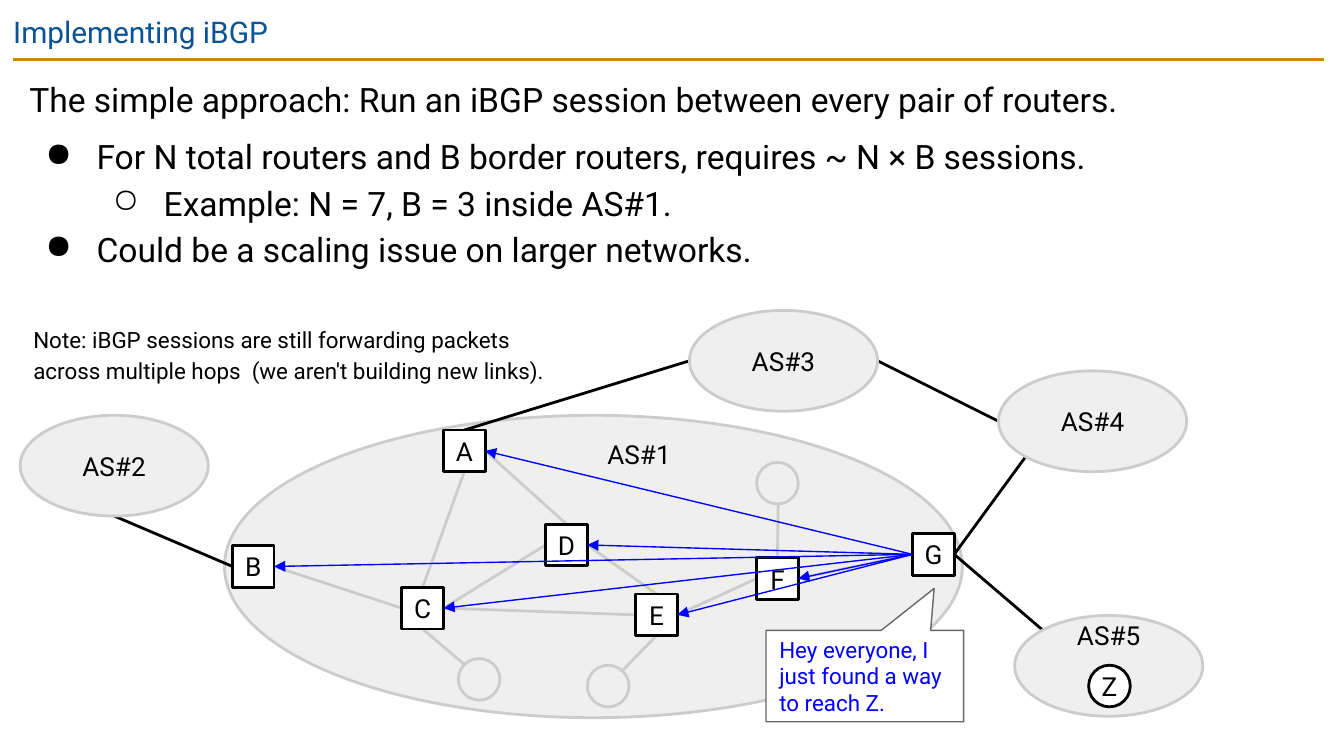
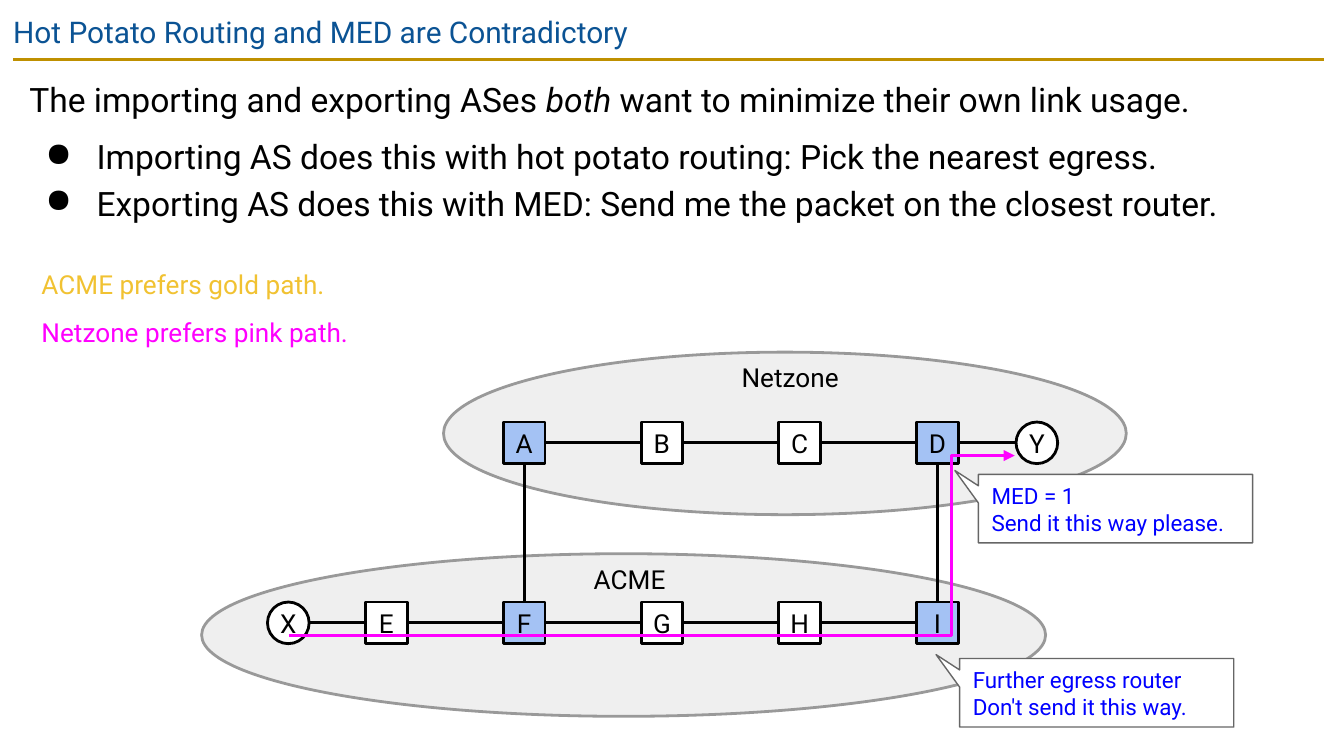
"""Build two slides on routing between autonomous systems."""
from lxml import etree
from pptx import Presentation
from pptx import util as u
from pptx.dml.color import RGBColor
from pptx.enum import shapes, text
from pptx.oxml.ns import qn

rgb = RGBColor.from_string
BLACK, WHITE, BLUE = "000000", "FFFFFF", "0000FF"
TITLE, GOLD, PALE, SOFT, GRAY = "0B5394", "BF9000", "EFEFEF", "CCCCCC", "999999"
PINK, EDGE = "FF00FF", "A4C2F4"
OVAL = shapes.MSO_SHAPE.OVAL
BOX = shapes.MSO_SHAPE.RECTANGLE
CALLOUT = shapes.MSO_SHAPE.ROUNDED_RECTANGULAR_CALLOUT
NODE = 0.31


def write(content, at, kind=None, fill=None, line=BLACK, width=1.5, size=14,
          color=BLACK, inset=0.1, center=False, spaced=False, levels=(), tip=None):
    """Place text in a box or a preset shape; asterisks mark italics."""
    place = [u.Inches(v) for v in at]
    if kind is None:
        part = slide.shapes.add_textbox(*place)
    else:
        part = slide.shapes.add_shape(kind, *place)
        part.shadow.inherit = False
        part.line.color.rgb, part.line.width = rgb(line), u.Pt(width)
        if fill:
            part.fill.solid()
            part.fill.fore_color.rgb = rgb(fill)
        else:
            part.fill.background()
    for index, value in enumerate((*tip, 0) if tip else ()):
        part.adjustments[index] = value
    frame = part.text_frame
    frame.word_wrap = True
    frame.vertical_anchor = text.MSO_ANCHOR.MIDDLE if kind else text.MSO_ANCHOR.TOP
    frame.margin_left = frame.margin_right = u.Inches(inset)
    frame.margin_top = frame.margin_bottom = u.Inches(inset)
    for index, sentence in enumerate(content.split("\n") if content else ()):
        para = frame.paragraphs[0] if index == 0 else frame.add_paragraph()
        para.alignment = text.PP_ALIGN.CENTER if center else text.PP_ALIGN.LEFT
        if spaced:
            para.line_spacing = 1.15
            para.space_before = u.Pt(6 if index < 2 else 0)
        level = levels[index] if levels else 0
        if level:
            para.level = level - 1
            props = para._p.get_or_add_pPr()
            props.set("marL", str(u.Inches(0.5 * level)))
            props.set("indent", str(u.Inches(-0.38)))
            etree.SubElement(props, qn("a:buChar")).set("char", "●○"[level - 1])
        for turn, words in enumerate(sentence.split("*")):
            run = para.add_run()
            run.text = words
            run.font.name, run.font.size = "Roboto", u.Pt(size)
            run.font.color.rgb = rgb(color)
            run.font.italic = turn % 2 == 1


def link(*points, color=BLACK, width=1.5, arrow=False):
    """Join points by a straight connector or, beyond two, by an open outline."""
    spots = [(u.Inches(x), u.Inches(y)) for x, y in points]
    if len(spots) == 2:
        route = slide.shapes.add_connector(shapes.MSO_CONNECTOR.STRAIGHT, *spots[0], *spots[1])
    else:
        outline = slide.shapes.build_freeform(*spots[0])
        outline.add_line_segments(spots[1:], close=False)
        route = outline.convert_to_shape()
        route.fill.background()
    route.line.color.rgb, route.line.width = rgb(color), u.Pt(width)
    if arrow:
        etree.SubElement(route.line._get_or_add_ln(), qn("a:tailEnd")).set("type", "triangle")
    etree.SubElement(route._element.spPr, qn("a:effectLst"))


deck = Presentation()
deck.slide_width, deck.slide_height = u.Inches(10), u.Inches(5.625)
pages = [
    ("Implementing iBGP",
     "The simple approach: Run an iBGP session between every pair of routers.\n"
     "For N total routers and B border routers, requires ~ N × B sessions.\n"
     "Example: N = 7, B = 3 inside AS#1.\n"
     "Could be a scaling issue on larger networks.", (0, 1, 2, 1)),
    ("Hot Potato Routing and MED are Contradictory",
     "The importing and exporting ASes *both* want to minimize their own link usage.\n"
     "Importing AS does this with hot potato routing: Pick the nearest egress.\n"
     "Exporting AS does this with MED: Send me the packet on the closest router.", (0, 1, 1)),
]
for title, body, levels in pages:
    slide = deck.slides.add_slide(deck.slide_layouts[6])
    link((0.1, 0.44), (9.85, 0.44), color=GOLD)
    write(title, (0, 0, 9.32, 0.43), size=16, color=TITLE)
    write(body, (0.12, 0.44, 9.74, 1.7), size=18, spaced=True, levels=levels)

slide = deck.slides[0]
routers = {"A": (3.3, 3.2), "B": (1.73, 4.06), "C": (2.99, 4.37), "D": (4.06, 3.9),
           "E": (4.73, 4.42), "F": (5.63, 4.15), "G": (6.79, 3.97)}
systems = {"AS#2": (0.15, 3.09), "AS#3": (5.13, 2.31), "AS#4": (7.43, 2.76), "AS#5": (7.55, 4.58)}
ports = {}
for group, w, h in ((routers, NODE, NODE), (systems, 1.4, 0.75)):
    for name, (x, y) in group.items():
        ports[name, "left"], ports[name, "right"] = (x, y + h / 2), (x + w, y + h / 2)
        ports[name, "top"], ports[name, "bottom"] = (x + w / 2, y), (x + w / 2, y + h)

write("", (1.67, 3.09, 5.49, 2.25), OVAL, PALE, SOFT)
for hidden, router, side, end in (((5.63, 3.44), "F", "top", (5.79, 3.75)),
                                  ((4.37, 4.95), "E", "bottom", (4.63, 4.99)),
                                  ((3.41, 4.9), "C", "bottom", (3.45, 4.94))):
    write("", (*hidden, NODE, NODE), OVAL, line=SOFT)
    link(ports[router, side], end, color=SOFT)
for start, leave, end, enter in (("B", "right", "C", "left"), ("C", "right", "D", "left"),
                                 ("C", "top", "A", "bottom"), ("A", "right", "D", "top"),
                                 ("C", "right", "E", "left"), ("E", "top", "D", "right"),
                                 ("E", "right", "F", "left"), ("F", "right", "G", "left")):
    link(ports[start, leave], ports[end, enter], color=SOFT)
write("AS#1", (4.3, 3.16, 0.91, 0.44), center=True)

exit_port = ports["G", "right"]
for start, end in (((7.76, 4.69), exit_port), ((7.63, 3.4), exit_port),
                   (ports["AS#4", "left"], ports["AS#3", "right"]),
                   (ports["AS#3", "left"], ports["A", "top"]),
                   (ports["AS#2", "bottom"], ports["B", "left"])):
    link(start, end)
for name, corner in systems.items():
    write("" if name == "AS#5" else name, (*corner, 1.4, 0.75), OVAL, PALE, SOFT, center=True)
write("AS#5", (7.55, 4.51, 1.4, 0.43), center=True)
write("Z", (8.1, 4.95, NODE, NODE), OVAL, WHITE, inset=0, center=True)
for name, corner in routers.items():
    write(name, (*corner, NODE, NODE), BOX, WHITE, inset=0, center=True)
for name in "FEDCBA":
    link(ports["G", "left"], ports[name, "right"], color=BLUE, width=0.75, arrow=True)
write("Hey everyone, I just found a way to reach Z.", (5.7, 4.69, 1.47, 0.68), CALLOUT,
      WHITE, "666666", 0.75, size=12, color=BLUE, tip=(0.351, -0.959))
write("Note: iBGP sessions are still forwarding packets across multiple hops  "
      "(we aren't building new links).", (0.15, 2.3, 4.06, 0.64), size=12, spaced=True)

slide = deck.slides[1]
column = [2.72 + 1.025 * step for step in range(5)]
importer, exporter = "ACME", "Netzone"
networks = [
    (exporter, (3.3, 2.62, 5.08, 1.21), 5.16, 3.14, "ABCDY", column[1:] + [7.56]),
    (importer, (1.5, 4.12, 6.28, 1.21), 6.37, 4.48, "XEFGHI", [1.99] + column),
]
for name, (x, y, w, h), label_width, top, chain, lefts in networks:
    write("", (x, y, w, h), OVAL, PALE, GRAY)
    write(name, (x, y + 0.04, label_width, 0.3), inset=0.03, center=True)
for left in (column[1], column[4]):
    link((left + NODE / 2, 3.14 + NODE), (left + NODE / 2, 4.48))
for name, oval, label_width, top, chain, lefts in networks:
    middle = top + NODE / 2
    for left, following in zip(lefts, lefts[1:]):
        link((left + NODE, middle), (following, middle))
    for node, left in zip(chain, lefts):
        write(node, (left, top, NODE, NODE), OVAL if node in "XY" else BOX,
              EDGE if node in "ADFI" else WHITE, inset=0, center=True)
for message, corner in (("MED = 1\nSend it this way please.", (7.28, 3.53)),
                        ("Further egress router\nDon't send it this way.", (7.14, 4.9))):
    write(message, (*corner, 2.04, 0.51), CALLOUT, WHITE, "666666", 0.75, size=12,
          color=BLUE, tip=(-0.586, -0.558))
for row, (preference, color) in enumerate(((f"{importer} prefers gold path.", "F1C232"),
                                           (f"{exporter} prefers pink path.", PINK))):
    write(preference, (0.21, 1.86 + 0.36 * row, 2.49, 0.5), color=color, spaced=True)
link((2.15, 4.73), (7.08, 4.73), (7.08, 3.39), (7.55, 3.39), color=PINK, arrow=True)

deck.save("out.pptx")
